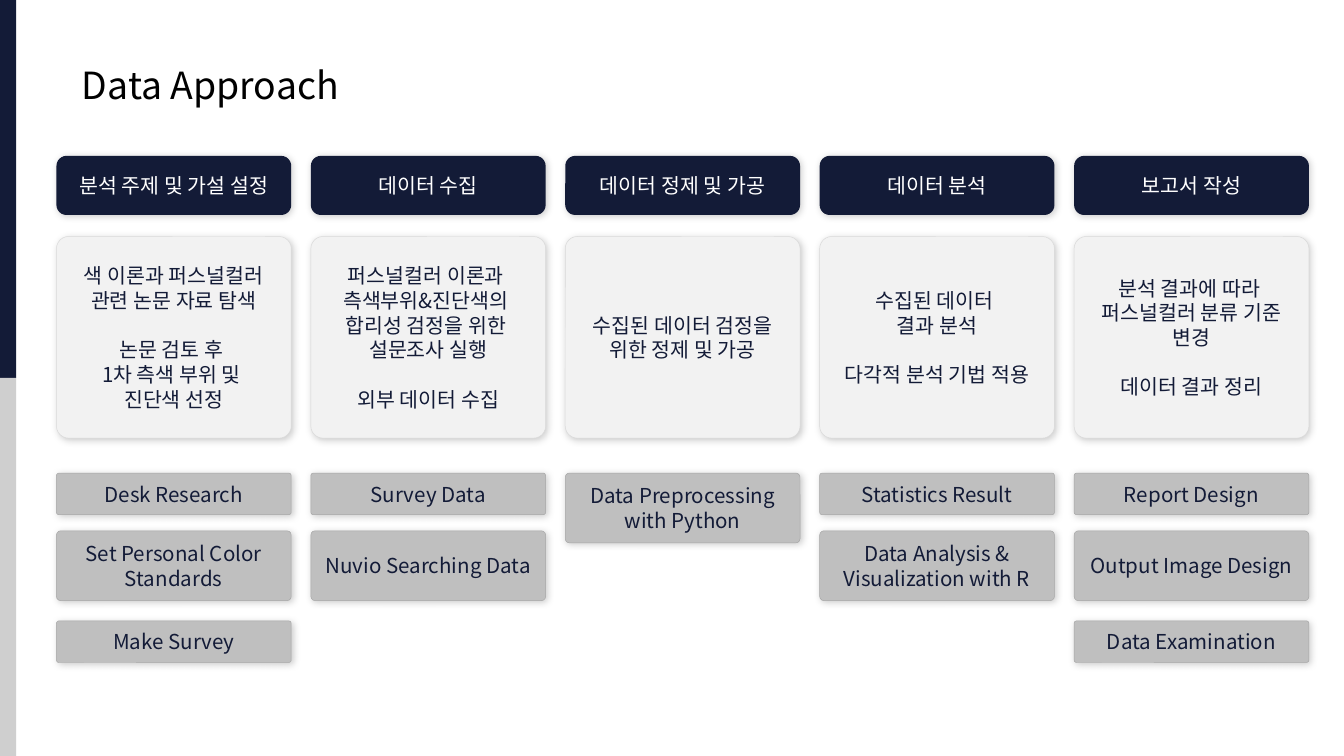
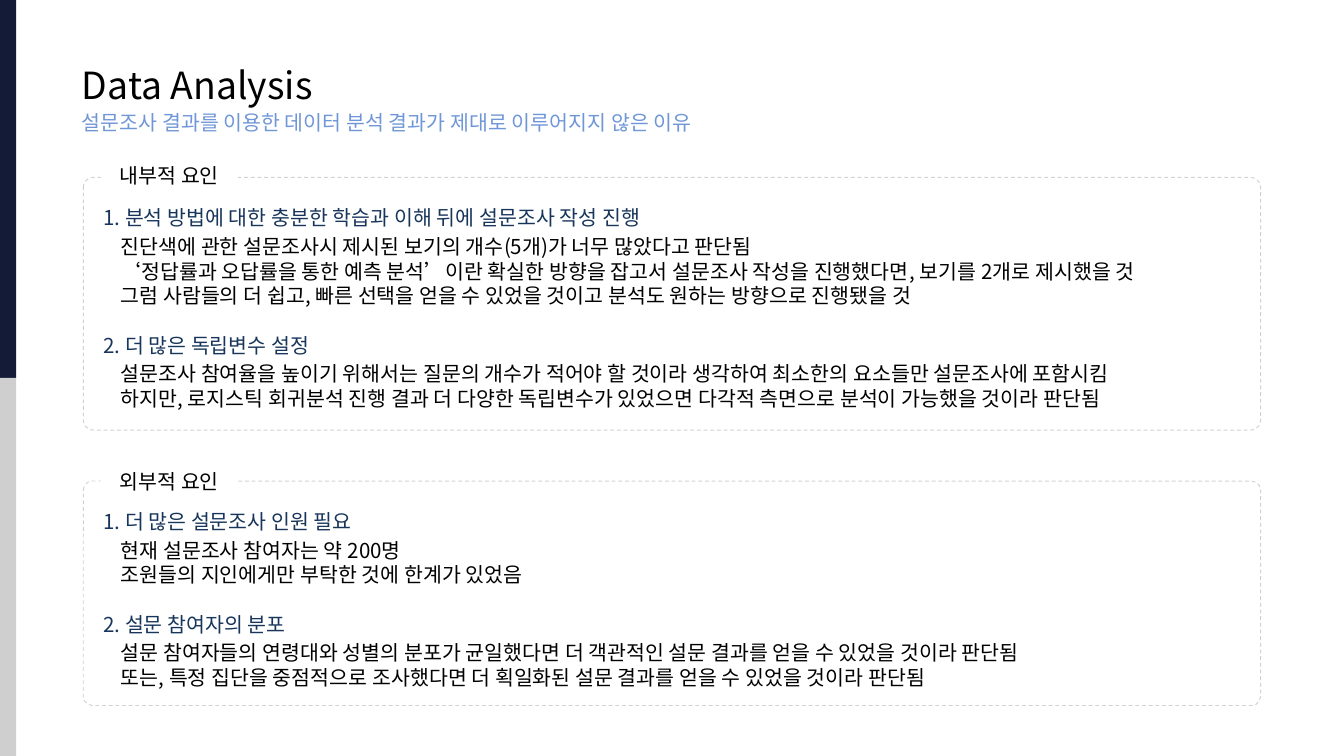
from dataclasses import dataclass
from typing import Optional

from lxml.etree import SubElement
from pptx import Presentation
from pptx.dml.color import RGBColor
from pptx.enum.dml import MSO_LINE
from pptx.enum.shapes import MSO_SHAPE
from pptx.enum.text import MSO_ANCHOR, MSO_AUTO_SIZE, PP_ALIGN
from pptx.oxml.ns import qn
from pptx.util import Inches, Pt

NAVY = RGBColor(0x13, 0x1B, 0x37)
BAND_GRAY = RGBColor(0xCF, 0xCF, 0xCF)
WHITE = RGBColor(0xFF, 0xFF, 0xFF)
BLACK = RGBColor(0, 0, 0)
CARD_GRAY = RGBColor(0xF2, 0xF2, 0xF2)
CARD_EDGE = RGBColor(0xD9, 0xD9, 0xD9)
TAG_GRAY = RGBColor(0xBF, 0xBF, 0xBF)
TAG_EDGE = RGBColor(0xA6, 0xA6, 0xA6)
FRAME_GRAY = RGBColor(0xD2, 0xD2, 0xD2)
SUBTITLE_BLUE = RGBColor(0x6F, 0x96, 0xD7)
HEADING_BLUE = RGBColor(0x18, 0x35, 0x5B)

FONT = "Noto Sans CJK KR"
TITLE_SIZE = 20
BODY_SIZE = 11
BLANK_LINE = Pt(13.2)
HEADING_GAP = Pt(2)
BODY_INDENT = Inches(0.13)

SLIDE_WIDTH = Inches(10)
SLIDE_HEIGHT = Inches(5.625)
COLUMN_LEFT, COLUMN_PITCH, COLUMN_WIDTH = 4.2, 18.93, 17.47
TAG_TOPS = (62.58, 70.22, 82.13)
TAG_HEIGHTS = {1: 5.51, 2: 9.24}


@dataclass(frozen=True)
class Box:
    """Percentages of the slide's width and height."""
    left: float
    top: float
    width: float
    height: float

    def emu(self) -> tuple[int, int, int, int]:
        return (int(SLIDE_WIDTH * self.left / 100), int(SLIDE_HEIGHT * self.top / 100),
                int(SLIDE_WIDTH * self.width / 100), int(SLIDE_HEIGHT * self.height / 100))


@dataclass(frozen=True)
class Line:
    text: str
    color: RGBColor = BLACK
    size: float = BODY_SIZE
    before: int = 0
    indent: int = 0


@dataclass(frozen=True)
class CardStyle:
    fill: RGBColor
    edge: Optional[RGBColor]
    text: RGBColor
    corner: float


@dataclass(frozen=True)
class Tag:
    text: str
    rows: int = 1


@dataclass(frozen=True)
class Stage:
    header: str
    groups: tuple[tuple[str, ...], ...]
    tags: tuple[Tag, ...]


@dataclass(frozen=True)
class Reason:
    heading: str
    details: tuple[str, ...]


@dataclass(frozen=True)
class Factor:
    label: str
    label_top: float
    frame: Box
    reasons: tuple[Reason, ...]


HEADER_STYLE = CardStyle(NAVY, None, WHITE, 0.17)
DETAIL_STYLE = CardStyle(CARD_GRAY, CARD_EDGE, NAVY, 0.06)
TAG_STYLE = CardStyle(TAG_GRAY, TAG_EDGE, NAVY, 0.06)

STAGES = (
    Stage("분석 주제 및 가설 설정",
          (("색 이론과 퍼스널컬러 관련 논문 자료 탐색",),
           ("논문 검토 후 ", "1차 측색 부위 및 ", "진단색 선정")),
          (Tag("Desk Research"), Tag("Set Personal Color Standards", 2), Tag("Make Survey"))),
    Stage("데이터 수집",
          (("퍼스널컬러 이론과 ", "측색부위&진단색의 ", "합리성 검정을 위한 ", "설문조사 실행"),
           ("외부 데이터 수집",)),
          (Tag("Survey Data"), Tag("Nuvio Searching Data", 2))),
    Stage("데이터 정제 및 가공",
          (("수집된 데이터 검정을 위한 정제 및 가공",),),
          (Tag("Data Preprocessing with Python", 2),)),
    Stage("데이터 분석",
          (("수집된 데이터 ", "결과 분석"), ("다각적 분석 기법 적용",)),
          (Tag("Statistics Result"), Tag("Data Analysis & Visualization with R", 2))),
    Stage("보고서 작성",
          (("분석 결과에 따라 ", "퍼스널컬러 분류 기준 변경"), ("데이터 결과 정리",)),
          (Tag("Report Design"), Tag("Output Image Design", 2), Tag("Data Examination"))),
)

FACTORS = (
    Factor("내부적 요인", 20.62, Box(6.2, 23.47, 87.6, 33.42), (
        Reason("1. 분석 방법에 대한 충분한 학습과 이해 뒤에 설문조사 작성 진행", (
            "진단색에 관한 설문조사시 제시된 보기의 개수(5개)가 너무 많았다고 판단됨",
            "‘정답률과 오답률을 통한 예측 분석’이란 확실한 방향을 잡고서 설문조사 작성을 "
            "진행했다면, 보기를 2개로 제시했을 것",
            "그럼 사람들의 더 쉽고, 빠른 선택을 얻을 수 있었을 것이고 분석도 원하는 방향으로 "
            "진행됐을 것")),
        Reason("2. 더 많은 독립변수 설정", (
            "설문조사 참여율을 높이기 위해서는 질문의 개수가 적어야 할 것이라 생각하여 최소한의 "
            "요소들만 설문조사에 포함시킴",
            "하지만, 로지스틱 회귀분석 진행 결과 더 다양한 독립변수가 있었으면 다각적 측면으로 "
            "분석이 가능했을 것이라 판단됨")))),
    Factor("외부적 요인", 61.16, Box(6.2, 63.64, 87.6, 29.69), (
        Reason("1. 더 많은 설문조사 인원 필요", (
            "현재 설문조사 참여자는 약 200명",
            "조원들의 지인에게만 부탁한 것에 한계가 있었음")),
        Reason("2. 설문 참여자의 분포", (
            "설문 참여자들의 연령대와 성별의 분포가 균일했다면 더 객관적인 설문 결과를 얻을 수 "
            "있었을 것이라 판단됨",
            "또는, 특정 집단을 중점적으로 조사했다면 더 획일화된 설문 결과를 얻을 수 있었을 "
            "것이라 판단됨")))),
)


def write(frame, lines: list[Line], align=PP_ALIGN.LEFT, anchor=MSO_ANCHOR.TOP) -> None:
    frame.word_wrap = True
    frame.auto_size = MSO_AUTO_SIZE.NONE
    frame.vertical_anchor = anchor
    for index, line in enumerate(lines):
        paragraph = frame.add_paragraph() if index else frame.paragraphs[0]
        paragraph.alignment = align
        paragraph.space_before = line.before
        if line.indent:
            properties = paragraph._p.get_or_add_pPr()
            properties.set("marL", str(line.indent))
            properties.set("indent", "0")
        run = paragraph.add_run()
        run.text = line.text
        run.font.size = Pt(line.size)
        run.font.name = FONT
        run.font.color.rgb = line.color
        SubElement(run._r.get_or_add_rPr(), qn("a:ea"), typeface=FONT)


def add_panel(slide, preset, box: Box, fill: Optional[RGBColor] = None,
              edge: Optional[RGBColor] = None, width: float = 0.25):
    panel = slide.shapes.add_shape(preset, *box.emu())
    panel.shadow.inherit = False
    if fill is None:
        panel.fill.background()
    else:
        panel.fill.solid()
        panel.fill.fore_color.rgb = fill
    if edge is None:
        panel.line.fill.background()
    else:
        panel.line.color.rgb = edge
        panel.line.width = Pt(width)
    return panel


def add_text(slide, box: Box, lines: list[Line]) -> None:
    write(slide.shapes.add_textbox(*box.emu()).text_frame, lines)


def add_soft_shadow(panel) -> None:
    effects = panel._element.spPr.find(qn("a:effectLst"))
    shadow = SubElement(effects, qn("a:outerShdw"), blurRad=str(Pt(4)), dist=str(Pt(1)),
                        dir="2700000", algn="tl", rotWithShape="0")
    color = SubElement(shadow, qn("a:srgbClr"), val=str(BLACK))
    SubElement(color, qn("a:alpha"), val="20000")


def add_card(slide, box: Box, style: CardStyle, groups: tuple[tuple[str, ...], ...]) -> None:
    card = add_panel(slide, MSO_SHAPE.ROUNDED_RECTANGLE, box, style.fill, style.edge)
    card.adjustments[0] = style.corner
    add_soft_shadow(card)
    lines = [Line(text, style.text, before=BLANK_LINE if number and not position else 0)
             for number, group in enumerate(groups)
             for position, text in enumerate(group)]
    write(card.text_frame, lines, PP_ALIGN.CENTER, MSO_ANCHOR.MIDDLE)


def add_titled_slide(deck, title: str):
    slide = deck.slides.add_slide(deck.slide_layouts[5])
    slide.background.fill.solid()
    slide.background.fill.fore_color.rgb = WHITE
    for half, color in enumerate((NAVY, BAND_GRAY)):
        add_panel(slide, MSO_SHAPE.RECTANGLE, Box(0, 50 * half, 1.2, 50), color)
    heading = slide.shapes.title
    heading.left, heading.top, heading.width, heading.height = Box(5.1, 7.29, 35.4, 7.82).emu()
    write(heading.text_frame, [Line(title, size=TITLE_SIZE)])
    return slide


def add_stage(slide, column: int, stage: Stage) -> None:
    left = COLUMN_LEFT + column * COLUMN_PITCH
    add_card(slide, Box(left, 20.62, COLUMN_WIDTH, 7.82), HEADER_STYLE, ((stage.header,),))
    add_card(slide, Box(left, 31.29, COLUMN_WIDTH, 26.67), DETAIL_STYLE, stage.groups)
    for top, tag in zip(TAG_TOPS, stage.tags):
        box = Box(left, top, COLUMN_WIDTH, TAG_HEIGHTS[tag.rows])
        add_card(slide, box, TAG_STYLE, ((tag.text,),))


def add_factor(slide, factor: Factor) -> None:
    frame = factor.frame
    lines: list[Line] = []
    for reason in factor.reasons:
        lines.append(Line(reason.heading, HEADING_BLUE, before=BLANK_LINE if lines else 0))
        lines += [Line(detail, before=0 if position else HEADING_GAP, indent=BODY_INDENT)
                  for position, detail in enumerate(reason.details)]
    add_text(slide, Box(6.7, frame.top + 2.84, 86.3, frame.height - 3.9), lines)
    outline = add_panel(slide, MSO_SHAPE.ROUNDED_RECTANGLE, frame, edge=FRAME_GRAY, width=0.5)
    outline.adjustments[0] = 0.04
    outline.line.dash_style = MSO_LINE.DASH
    label = add_panel(slide, MSO_SHAPE.RECTANGLE, Box(7.5, factor.label_top, 10.2, 5.16), WHITE)
    write(label.text_frame, [Line(factor.label)], PP_ALIGN.CENTER)


def main() -> None:
    deck = Presentation()
    deck.slide_width, deck.slide_height = SLIDE_WIDTH, SLIDE_HEIGHT

    approach = add_titled_slide(deck, "Data Approach")
    for column, stage in enumerate(STAGES):
        add_stage(approach, column, stage)

    analysis = add_titled_slide(deck, "Data Analysis")
    add_text(analysis, Box(5.1, 13.69, 59.8, 5.16),
             [Line("설문조사 결과를 이용한 데이터 분석 결과가 제대로 이루어지지 않은 이유", SUBTITLE_BLUE)])
    for factor in FACTORS:
        add_factor(analysis, factor)

    deck.save("out.pptx")


if __name__ == "__main__":
    main()
